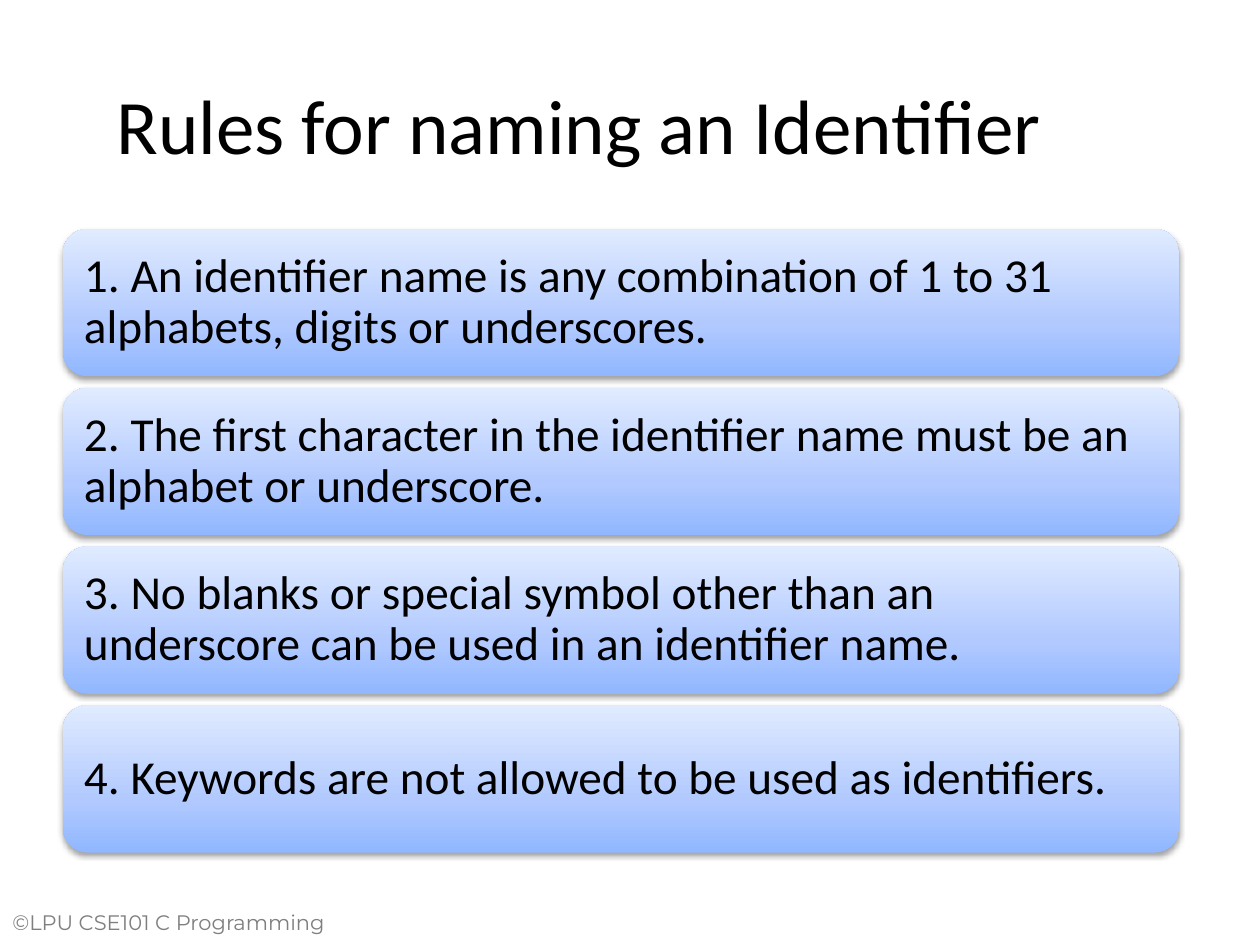
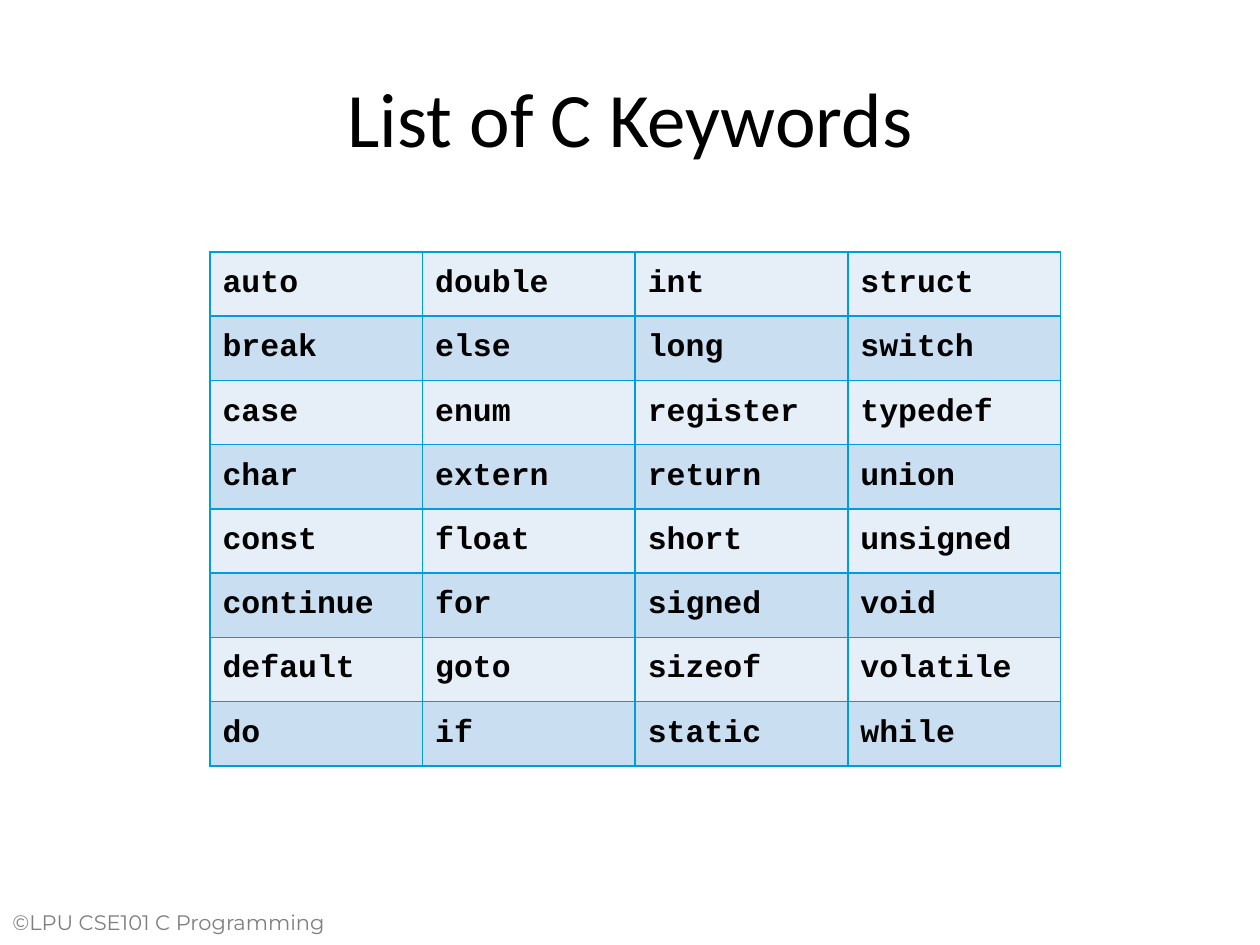
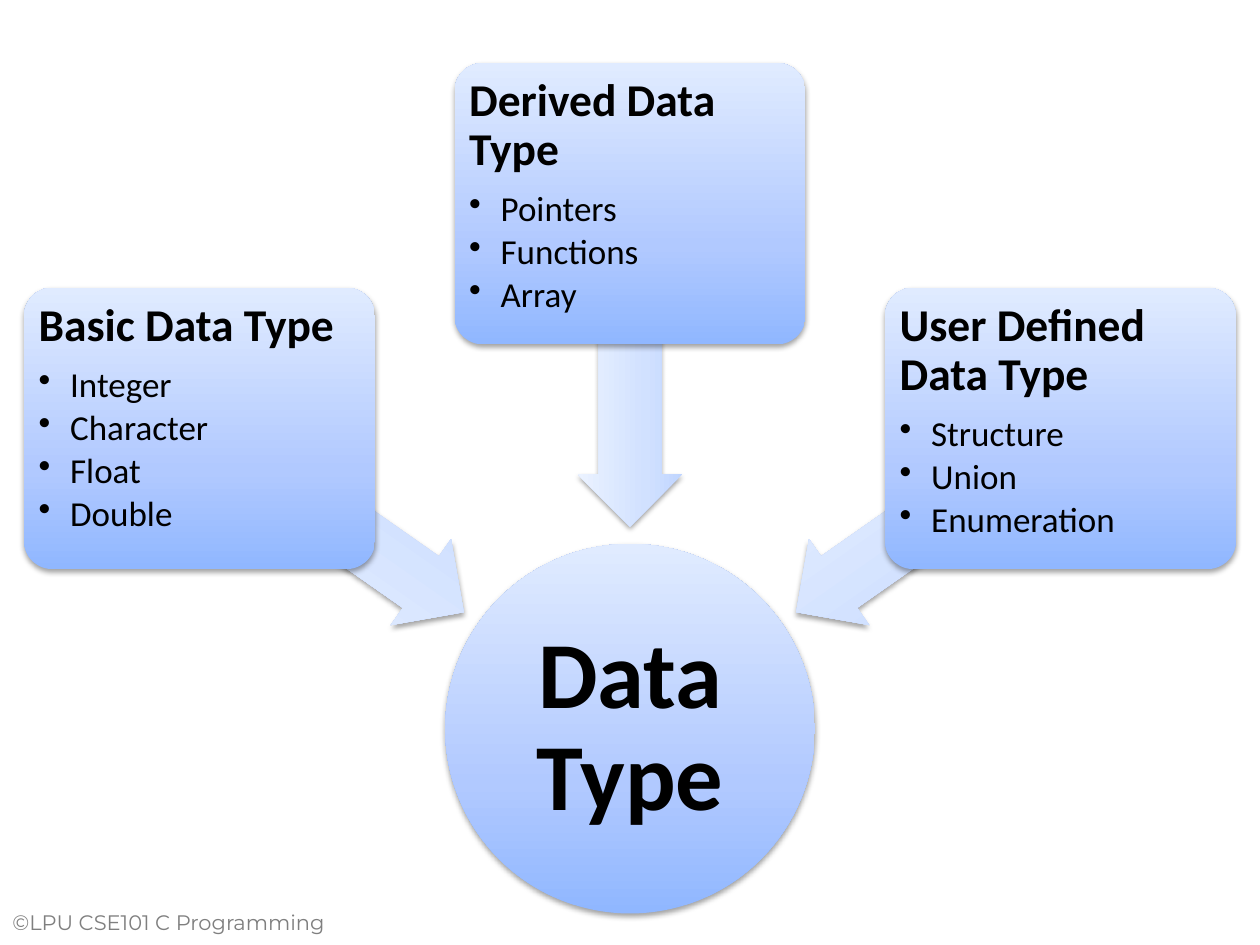
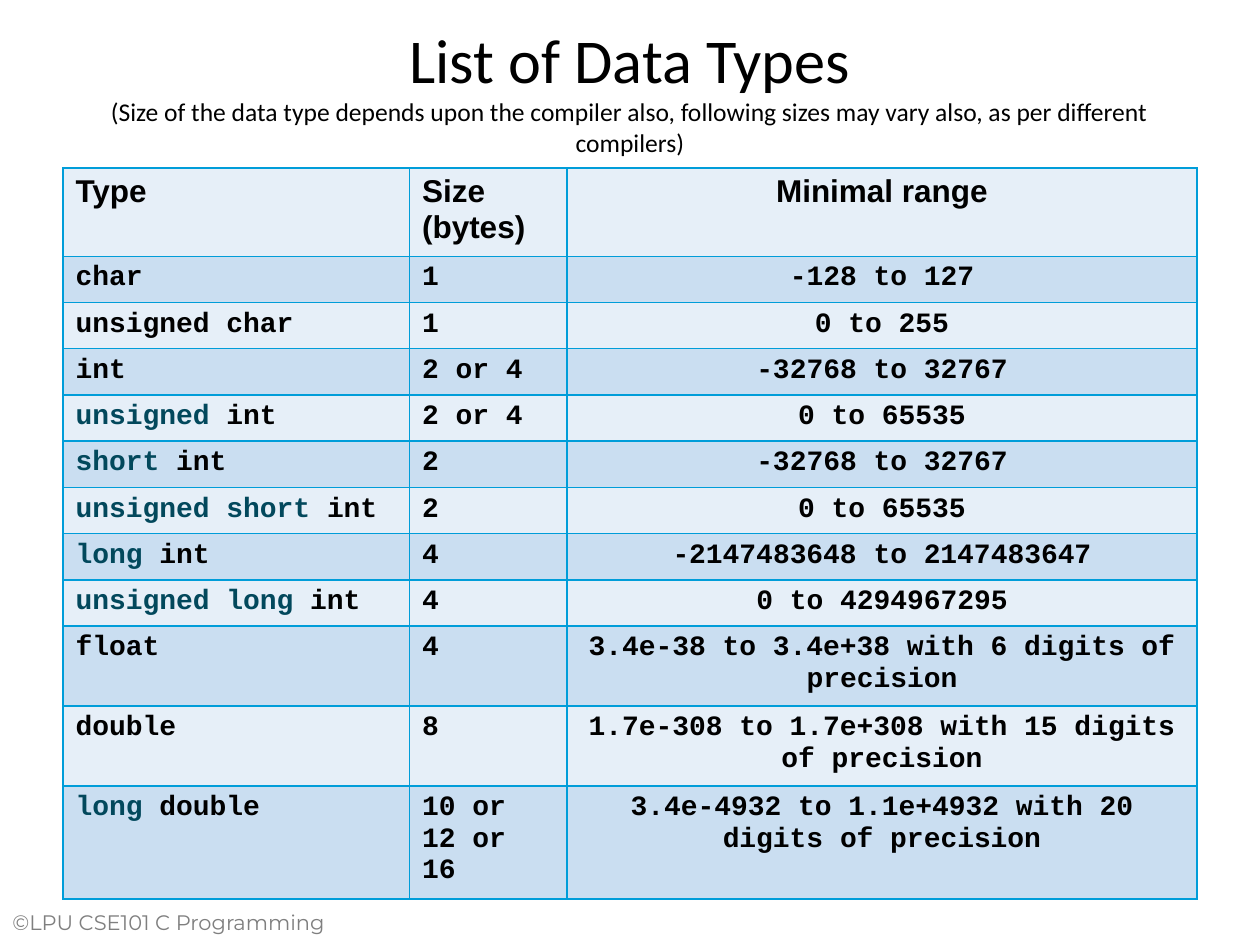
from dataclasses import dataclass

from lxml.etree import SubElement
from pptx import Presentation
from pptx.dml.color import RGBColor
from pptx.enum.shapes import MSO_SHAPE as Shape
from pptx.enum.text import MSO_ANCHOR as Anchor, PP_ALIGN as Align
from pptx.oxml.ns import qn
from pptx.util import Inches, Pt


@dataclass(frozen=True)
class Theme:
    """Colours, fonts, type sizes and grid of the deck."""
    ink: str = "000000"
    muted: str = "7F7F7F"
    modifier: str = "02485C"
    border: str = "009DD9"
    bands: tuple = ("E6EFF8", "CADEF1")
    panel: tuple = ("90B7FF", "B1C9FF", "E0EBFF")
    arrow: tuple = ("C0D5FF", "D1E1FF", "EBF2FF")
    body: str = "Calibri"
    code: str = "Courier New"
    heading: str = "Arial"
    footer: str = "Montserrat"
    title_size: float = 44
    small_title_size: float = 35.6
    note_size: float = 14.6
    rule_size: float = 27
    hub_size: float = 54
    panel_size: float = 26
    item_size: float = 20
    keyword_size: float = 18
    type_size: float = 16
    footer_size: float = 12
    width: float = 10
    height: float = 7.5
    columns: int = 120
    rows: int = 90


THEME = Theme()

RULES = (
    "1. An identifier name is any combination of 1 to 31 alphabets, digits or underscores.",
    "2. The first character in the identifier name must be an alphabet or underscore.",
    "3. No blanks or special symbol other than an underscore can be used in an identifier name.",
    "4. Keywords are not allowed to be used as identifiers.",
)

KEYWORDS = (
    "auto break case char const continue default do "
    "double else enum extern float for goto if "
    "int long register return short signed sizeof static "
    "struct switch typedef union unsigned void volatile while"
).split()

TYPE_GROUPS = (
    (-1, "Basic Data Type", ("Integer", "Character", "Float", "Double")),
    (0, "Derived Data Type", ("Pointers", "Functions", "Array")),
    (1, "User Defined Data Type", ("Structure", "Union", "Enumeration")),
)

DATA_TYPES = (
    ("Type", "Size (bytes)", "Minimal range"),
    ("char", "1", "-128 to 127"),
    ("unsigned char", "1", "0 to 255"),
    ("int", "2 or 4", "-32768 to 32767"),
    ("unsigned| int", "2 or 4", "0 to 65535"),
    ("short| int", "2", "-32768 to 32767"),
    ("unsigned short |int", "2", "0 to 65535"),
    ("long| int", "4", "-2147483648 to 2147483647"),
    ("unsigned long |int", "4", "0 to 4294967295"),
    ("float", "4", "3.4e-38 to 3.4e+38 with 6 digits of precision"),
    ("double", "8", "1.7e-308 to 1.7e+308 with 15 digits of precision"),
    ("long| double", "10 or 12 or 16", "3.4e-4932 to 1.1e+4932 with 20 digits of precision"),
)


def across(columns):
    """Turn grid columns into a length."""
    return Inches(columns * THEME.width / THEME.columns)


def down(rows):
    """Turn grid rows into a length."""
    return Inches(rows * THEME.height / THEME.rows)


def place(left, top, width, height):
    """Turn a grid rectangle into left, top, width and height."""
    return across(left), down(top), across(width), down(height)


def style(paragraph, size, face=THEME.body, color=THEME.ink, bold=False, align=Align.LEFT):
    """Set the font and alignment of a whole paragraph."""
    paragraph.alignment = align
    font = paragraph.font
    font.size, font.name, font.bold = Pt(size), face, bold
    font.color.rgb = RGBColor.from_string(color)


def add_text(slide, area, text, size, anchor=Anchor.TOP, **look):
    """Add a wrapped text box and return its paragraph."""
    frame = slide.shapes.add_textbox(*place(*area)).text_frame
    frame.word_wrap = True
    frame.vertical_anchor = anchor
    paragraph = frame.paragraphs[0]
    paragraph.text = text
    style(paragraph, size, **look)
    return paragraph


def add_title(slide, area, text, size=THEME.title_size):
    """Add a centred slide title."""
    return add_text(slide, area, text, size, Anchor.MIDDLE, align=Align.CENTER)


def new_slide(deck):
    """Add a blank slide with the course footer."""
    slide = deck.slides.add_slide(deck.slide_layouts[6])
    add_text(slide, (0, 86, 36, 5), "©LPU CSE101 C Programming", THEME.footer_size,
             face=THEME.footer, color=THEME.muted)
    return slide


def add_glossy(slide, kind, area, colors, adjustments=()):
    """Add a shape with a vertical gradient and a soft shadow."""
    shape = slide.shapes.add_shape(kind, *place(*area))
    for index, value in enumerate(adjustments):
        shape.adjustments[index] = value
    shape.line.fill.background()
    shape.fill.gradient()
    shape.fill.gradient_angle = 90
    properties = shape._element.spPr
    stops = properties.find(qn("a:gradFill")).find(qn("a:gsLst"))
    stops.clear()
    for share, color in zip((0, 35, 100), colors):
        stop = SubElement(stops, qn("a:gs"), pos=str(share * 1000))
        SubElement(stop, qn("a:srgbClr"), val=color)
    shape.shadow.inherit = False
    shadow = SubElement(properties.find(qn("a:effectLst")), qn("a:outerShdw"),
                        blurRad=str(Pt(3.1)), dist=str(Pt(1.6)), dir="5400000", rotWithShape="0")
    shade = SubElement(shadow, qn("a:srgbClr"), val=THEME.ink)
    SubElement(shade, qn("a:alpha"), val="37000")
    return shape


def write_inside(shape, text, size, inset, anchor=Anchor.MIDDLE, **look):
    """Write the first paragraph of a shape and return its text frame."""
    frame = shape.text_frame
    frame.word_wrap = True
    frame.vertical_anchor = anchor
    frame.margin_left = frame.margin_right = Inches(inset)
    frame.margin_top = frame.margin_bottom = Inches(inset)
    paragraph = frame.paragraphs[0]
    paragraph.text = text
    paragraph.line_spacing = 0.9
    style(paragraph, size, **look)
    return frame


def add_bullet(frame, text, space_before):
    """Append a bulleted item to a text frame."""
    paragraph = frame.add_paragraph()
    paragraph.text = text
    paragraph.level = 1
    paragraph.line_spacing = 0.9
    paragraph.space_before = Pt(space_before)
    properties = paragraph._p.get_or_add_pPr()
    properties.set("marL", str(Inches(0.25)))
    properties.set("indent", str(-Inches(0.25)))
    SubElement(properties, qn("a:buChar"), char="•")
    style(paragraph, THEME.item_size)


def draw_borders(cell):
    """Outline a cell, keeping the border elements ahead of its fill."""
    properties = cell._tc.get_or_add_tcPr()
    for index, edge in enumerate(("a:lnL", "a:lnR", "a:lnT", "a:lnB")):
        line = SubElement(properties, qn(edge), w=str(Pt(1)))
        SubElement(SubElement(line, qn("a:solidFill")), qn("a:srgbClr"), val=THEME.border)
        properties.insert(index, line)


def fill_cell(cell, text, band, anchor, **look):
    """Write a cell, colouring the part before a bar as a modifier."""
    cell.fill.solid()
    cell.fill.fore_color.rgb = RGBColor.from_string(band)
    draw_borders(cell)
    cell.vertical_anchor = anchor
    paragraph = cell.text_frame.paragraphs[0]
    modifier, _, base = text.rpartition("|")
    if modifier:
        run = paragraph.add_run()
        run.text = modifier
        run.font.color.rgb = RGBColor.from_string(THEME.modifier)
    paragraph.add_run().text = base
    style(paragraph, bold=True, **look)


def add_banded_table(slide, left, top, widths, heights, rows, look_of, anchor):
    """Add a banded table; look_of gives the type style at a row and column."""
    area = place(left, top, sum(widths), sum(heights))
    table = slide.shapes.add_table(len(rows), len(widths), *area).table
    table.first_row = table.horz_banding = False
    for column, width in zip(table.columns, widths):
        column.width = across(width)
    for r, (words, height) in enumerate(zip(rows, heights)):
        table.rows[r].height = down(height)
        for c, word in enumerate(words):
            fill_cell(table.cell(r, c), word, THEME.bands[r % 2], anchor, **look_of(r, c))


def identifier_rules(deck):
    """Build the slide with the naming rules."""
    slide = new_slide(deck)
    add_title(slide, (2, 5, 106.3, 13.5), "Rules for naming an Identifier")
    for index, rule in enumerate(RULES):
        bar = add_glossy(slide, Shape.ROUNDED_RECTANGLE, (6, 21.8 + 15.12 * index, 106.3, 14.04),
                         THEME.panel, (0.167,))
        write_inside(bar, rule, THEME.rule_size, 0.11)


def keyword_list(deck):
    """Build the slide with the table of keywords."""
    slide = new_slide(deck)
    add_title(slide, (6, 3.6, 108, 15), "List of C Keywords")
    depth = 8
    rows = [KEYWORDS[start::depth] for start in range(depth)]
    look = dict(size=THEME.keyword_size, face=THEME.code)
    add_banded_table(slide, 20, 24, [20.25] * 4, [6.12] * depth, rows,
                     lambda r, c: look, Anchor.MIDDLE)


def type_families(deck):
    """Build the diagram of type groups pointing to the hub."""
    slide = new_slide(deck)
    middle = THEME.columns / 2
    hub_width, panel_width, panel_height, arrow_length, arrow_height = 35.2, 33.4, 26.8, 30.7, 10
    hub = add_glossy(slide, Shape.OVAL, (middle - hub_width / 2, 51.8, hub_width, hub_width),
                     THEME.panel)
    write_inside(hub, "Data Type", THEME.hub_size, 0.04, bold=True, align=Align.CENTER)
    for side, group, members in TYPE_GROUPS:
        panel_top, arrow_middle = (27.4, 49.5) if side else (6, 34.8)
        arrow = add_glossy(slide, Shape.LEFT_ARROW,
                           (middle + 28.4 * side - arrow_length / 2,
                            arrow_middle - arrow_height / 2, arrow_length, arrow_height),
                           THEME.arrow, (0.6, 0.5))
        arrow.rotation = 270 + 55 * side
        panel = add_glossy(slide, Shape.ROUNDED_RECTANGLE,
                           (middle + 41 * side - panel_width / 2, panel_top,
                            panel_width, panel_height), THEME.panel, (0.1,))
        frame = write_inside(panel, group, THEME.panel_size, 0.05, Anchor.TOP, bold=True)
        for index, member in enumerate(members):
            add_bullet(frame, member, 3 if index else 9.1)


def type_look(row, column):
    """Give the type style of a cell in the table of data types."""
    face, size = (THEME.code, THEME.type_size) if row else (THEME.heading, THEME.keyword_size)
    return dict(face=face, size=size, align=Align.CENTER if column == 2 else Align.LEFT)


def data_type_list(deck):
    """Build the slide with the sizes and ranges of data types."""
    slide = new_slide(deck)
    title = add_title(slide, (6, 4, 108, 9), "List of Data Types", THEME.small_title_size)
    title.add_line_break()
    note = title.add_run()
    note.text = ("(Size of the data type depends upon the compiler also, "
                 "following sizes may vary also, as per different compilers)")
    note.font.size = Pt(THEME.note_size)
    heights = [7.9] + [4.32] * 8 + [7.2] * 3
    add_banded_table(slide, 6, 16, (33, 15, 60), heights, DATA_TYPES, type_look, Anchor.TOP)


def main():
    """Build and save the deck."""
    deck = Presentation()
    deck.slide_width, deck.slide_height = Inches(THEME.width), Inches(THEME.height)
    for build in (identifier_rules, keyword_list, type_families, data_type_list):
        build(deck)
    deck.save("out.pptx")


if __name__ == "__main__":
    main()
